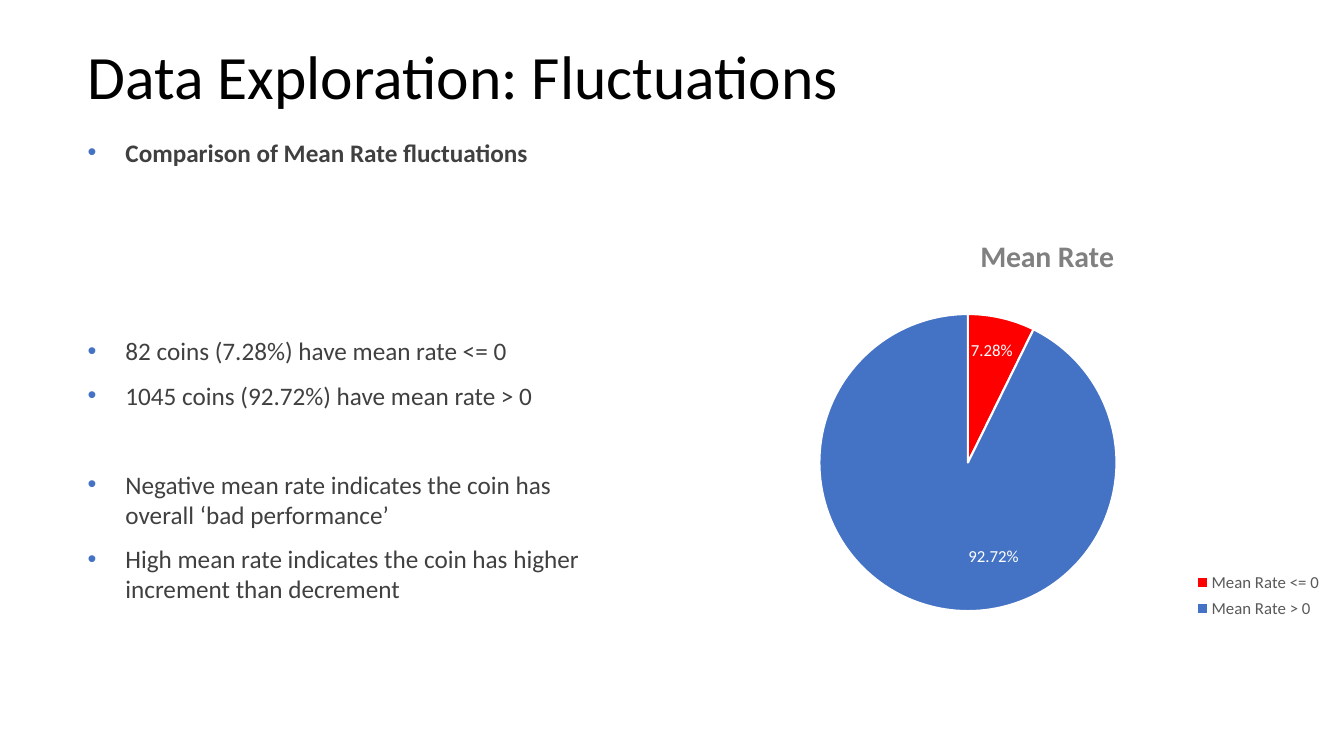
from pptx import Presentation
from pptx.chart.data import CategoryChartData as ChartData
from pptx.dml.color import RGBColor as RGB
from pptx.enum.chart import XL_CHART_TYPE as ChartType
from pptx.enum.chart import XL_LABEL_POSITION as LabelPos
from pptx.enum.chart import XL_LEGEND_POSITION as LegendPos
from pptx.enum.text import MSO_ANCHOR as Anchor
from pptx.oxml import parse_xml
from pptx.oxml.ns import nsdecls, qn
from pptx.util import Pt

FACE = "Calibri"
BLACK, WHITE = RGB(0, 0, 0), RGB(255, 255, 255)
BODY, MUTED, GREY = RGB(0x40, 0x40, 0x40), RGB(0x59, 0x59, 0x59), RGB(0x80, 0x80, 0x80)
RED, BLUE = RGB(255, 0, 0), RGB(0x44, 0x72, 0xC4)
INDENT, GAP, BREAK = 27, 10, 42

# Text, with the space above it
FACTS = [
    ("82 coins (7.28%) have mean rate <= 0", 0),
    ("1045 coins (92.72%) have mean rate > 0", GAP),
    ("Negative mean rate indicates the coin has overall ‘bad performance’", BREAK),
    ("High mean rate indicates the coin has higher increment than decrement", GAP),
]
# Category, percentage, colour, label shift as shares of the chart
SLICES = [
    ("Mean Rate <= 0", 7.28, RED, (0.01, -0.09)),
    ("Mean Rate > 0", 92.72, BLUE, (0.06, 0.05)),
]


def style(font, size, color, bold=False):
    font.name, font.size, font.bold = FACE, Pt(size), bold
    font.color.rgb = color


def add_box(slide, box):
    frame = slide.shapes.add_textbox(*map(Pt, box)).text_frame
    frame.word_wrap = True
    return frame


def add_title(slide, box, text):
    frame = add_box(slide, box)
    frame.vertical_anchor = Anchor.MIDDLE
    para = frame.paragraphs[0]
    para.text, para.line_spacing = text, 0.9
    style(para.font, 44, BLACK)


def add_list(slide, box, items, bold=False):
    frame = add_box(slide, box)
    for i, (text, above) in enumerate(items):
        para = frame.add_paragraph() if i else frame.paragraphs[0]
        para.text, para.space_before = text, Pt(above)
        props = para._p.get_or_add_pPr()
        props.set("marL", str(Pt(INDENT)))
        props.set("indent", str(-Pt(INDENT)))
        for xml in (
            f'<a:buClr {nsdecls("a")}><a:srgbClr val="{BLUE}"/></a:buClr>',
            f'<a:buFont {nsdecls("a")} typeface="Arial"/>',
            f'<a:buChar {nsdecls("a")} char="•"/>',
        ):
            props.append(parse_xml(xml))
        style(para.font, 18, BODY, bold)


def place(node, index, modes="", **sizes):
    """Give a chart part a manual layout, as shares of the chart."""
    for old in node.findall(qn("c:layout")):
        node.remove(old)
    marks = "".join(f'<c:{mode} val="edge"/>' for mode in modes.split())
    marks += "".join(f'<c:{key} val="{val}"/>' for key, val in sizes.items())
    node.insert(index, parse_xml(
        f'<c:layout {nsdecls("c")}><c:manualLayout>{marks}</c:manualLayout></c:layout>'))


def add_pie(slide, box):
    data = ChartData(number_format='0.00"%"')
    data.categories = [item[0] for item in SLICES]
    data.add_series("Mean Rate", [item[1] for item in SLICES])
    chart = slide.shapes.add_chart(ChartType.PIE, *map(Pt, box), data).chart
    style(chart.font, 10, BLACK)

    chart.has_title = True
    para = chart.chart_title.text_frame.paragraphs[0]
    para.text = "Mean Rate"
    style(para.font, 21.3, GREY, True)

    chart.has_legend = True
    chart.legend.position = LegendPos.RIGHT
    chart.legend.include_in_layout = False
    style(chart.legend.font, 12, MUTED)

    plot = chart.plots[0]
    plot.vary_by_categories = True
    for i, (_, _, color, (x, y)) in enumerate(SLICES):
        point = plot.series[0].points[i]
        point.format.fill.solid()
        point.format.fill.fore_color.rgb = color
        point.format.line.color.rgb = WHITE
        point.format.line.width = Pt(1.5)
        style(point.data_label.font, 12, WHITE)
        point.data_label.position = LabelPos.CENTER
        place(chart.element.xpath(".//c:dLbl")[i], 1, x=x, y=y)

    part = {name: chart.element.xpath(f"./c:chart/c:{name}")[0]
            for name in ("title", "plotArea", "legend")}
    place(part["title"], 1, "xMode yMode", x=0.41, y=0.05)
    place(part["plotArea"], 0, "xMode yMode", x=0.19, y=0.24, w=0.42, h=0.67)
    part["plotArea"].find(qn("c:layout"))[0].insert(
        0, parse_xml(f'<c:layoutTarget {nsdecls("c")} val="inner"/>'))
    place(part["legend"], 1, "xMode yMode", x=0.71, y=0.81, w=0.2, h=0.13)


def main():
    deck = Presentation()
    deck.slide_width, deck.slide_height = Pt(960), Pt(540)
    slide = deck.slides.add_slide(deck.slide_layouts[6])
    left = 55.5
    add_title(slide, (left, 4.3, 828, 104.4), "Data Exploration: Fluctuations")
    add_list(slide, (left, 94.3, 846, 29.5),
             [("Comparison of Mean Rate fluctuations", 0)], bold=True)
    add_pie(slide, (489, 148.3, 506, 316.8))
    add_list(slide, (left, 236.2, 385.2, 285), FACTS)
    deck.save("out.pptx")


if __name__ == "__main__":
    main()
